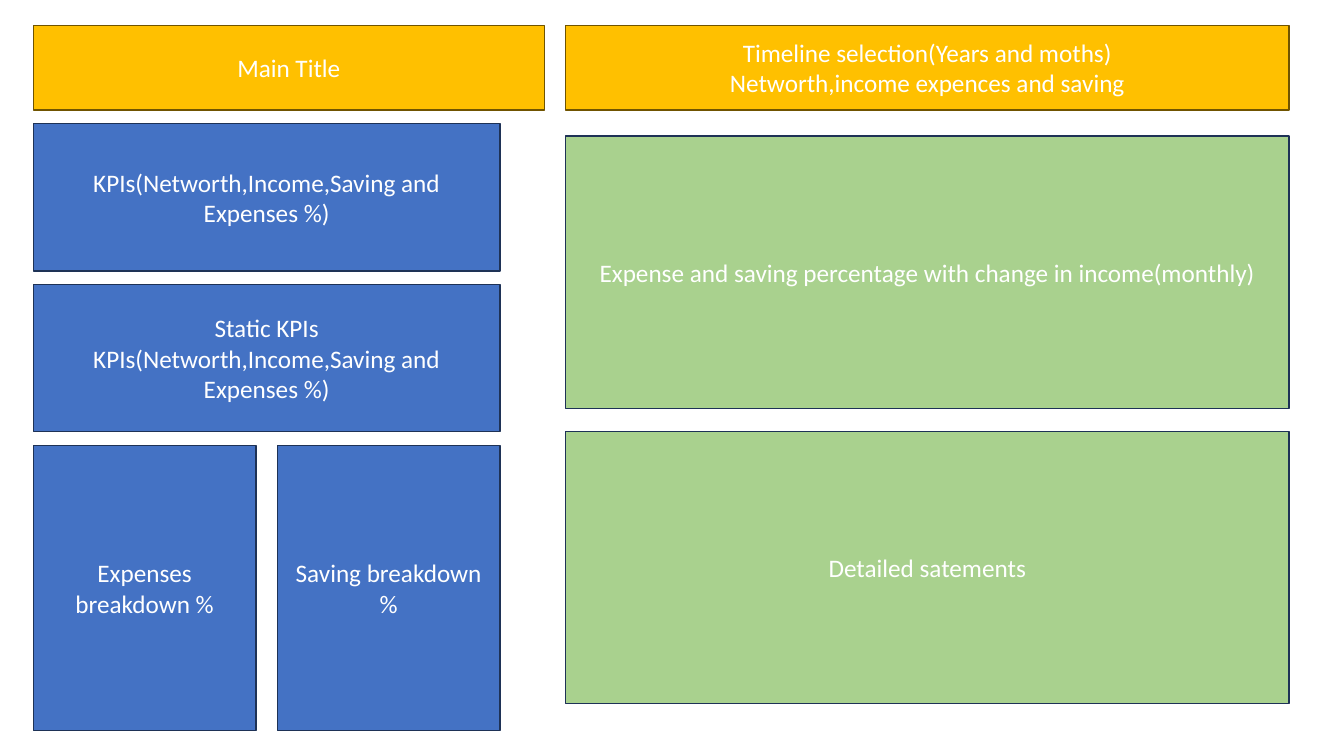
from pptx import Presentation
from pptx.dml.color import RGBColor
from pptx.enum.shapes import MSO_SHAPE as Shape
from pptx.enum.text import MSO_ANCHOR as Anchor, PP_ALIGN as Align
from pptx.util import Cm, Pt

WHITE = RGBColor(0xFF, 0xFF, 0xFF)
AMBER = RGBColor(0xFF, 0xC0, 0x00)
BROWN = RGBColor(0x70, 0x54, 0x00)
BLUE = RGBColor(0x44, 0x72, 0xC4)
NAVY = RGBColor(0x1E, 0x32, 0x56)
GREEN = RGBColor(0xA9, 0xD1, 0x8E)

# Layout in centimetres
LEFT_X, LEFT_WIDTH = 0.84, 11.76
RIGHT_X, RIGHT_WIDTH = 14.25, 18.24
HEADER_Y, HEADER_HEIGHT, TITLE_WIDTH = 0.64, 2.13, 12.88
KPI_Y, KPI_HEIGHT, KPI_GAP = 3.12, 3.71, 0.34
BREAKDOWN_WIDTH, BREAKDOWN_HEIGHT = 5.61, 7.19
DETAIL_Y, DETAIL_HEIGHT, DETAIL_GAP = 3.43, 6.86, 0.58

KPI_LIST = "KPIs(Networth,Income,Saving and Expenses %)"
KPIS = [[KPI_LIST], ["Static KPIs", KPI_LIST]]
BREAKDOWNS = ["Expenses breakdown %", "Saving breakdown %"]
DETAILS = [
    "Expense and saving percentage with change in income(monthly)",
    "Detailed satements",
]


def write_text(frame, lines, size=18, font="Calibri", color=WHITE, align=Align.CENTER):
    """Write each line as its own paragraph."""
    frame.word_wrap = True
    frame.vertical_anchor = Anchor.MIDDLE
    for index, line in enumerate(lines):
        paragraph = frame.paragraphs[0] if index == 0 else frame.add_paragraph()
        paragraph.alignment = align
        run = paragraph.add_run()
        run.text = line
        run.font.size = Pt(size)
        run.font.name = font
        run.font.color.rgb = color


def add_panel(slide, lines, left, top, width, height, fill, outline=NAVY):
    panel = slide.shapes.add_shape(
        Shape.RECTANGLE, Cm(left), Cm(top), Cm(width), Cm(height)
    )
    panel.shadow.inherit = False
    panel.fill.solid()
    panel.fill.fore_color.rgb = fill
    panel.line.color.rgb = outline
    panel.line.width = Pt(1)
    write_text(panel.text_frame, lines)


def add_headers(slide):
    timeline = [
        "Timeline selection(Years and moths)",
        "Networth,income expences and saving",
    ]
    add_panel(slide, ["Main Title"], LEFT_X, HEADER_Y, TITLE_WIDTH, HEADER_HEIGHT,
              AMBER, BROWN)
    add_panel(slide, timeline, RIGHT_X, HEADER_Y, RIGHT_WIDTH, HEADER_HEIGHT,
              AMBER, BROWN)


def add_kpis(slide):
    for row, lines in enumerate(KPIS):
        top = KPI_Y + row * (KPI_HEIGHT + KPI_GAP)
        add_panel(slide, lines, LEFT_X, top, LEFT_WIDTH, KPI_HEIGHT, BLUE)


def add_breakdowns(slide):
    """Place the two breakdowns below the KPIs, flush with both of their sides."""
    top = KPI_Y + len(KPIS) * (KPI_HEIGHT + KPI_GAP)
    for column, label in enumerate(BREAKDOWNS):
        left = LEFT_X + column * (LEFT_WIDTH - BREAKDOWN_WIDTH)
        add_panel(slide, [label], left, top, BREAKDOWN_WIDTH, BREAKDOWN_HEIGHT, BLUE)


def add_details(slide):
    for row, label in enumerate(DETAILS):
        top = DETAIL_Y + row * (DETAIL_HEIGHT + DETAIL_GAP)
        add_panel(slide, [label], RIGHT_X, top, RIGHT_WIDTH, DETAIL_HEIGHT, GREEN)


def main():
    deck = Presentation()
    deck.slide_width, deck.slide_height = Cm(33.87), Cm(19.05)
    slide = deck.slides.add_slide(deck.slide_layouts[6])
    add_headers(slide)
    add_kpis(slide)
    add_breakdowns(slide)
    add_details(slide)
    deck.save("out.pptx")


if __name__ == "__main__":
    main()
